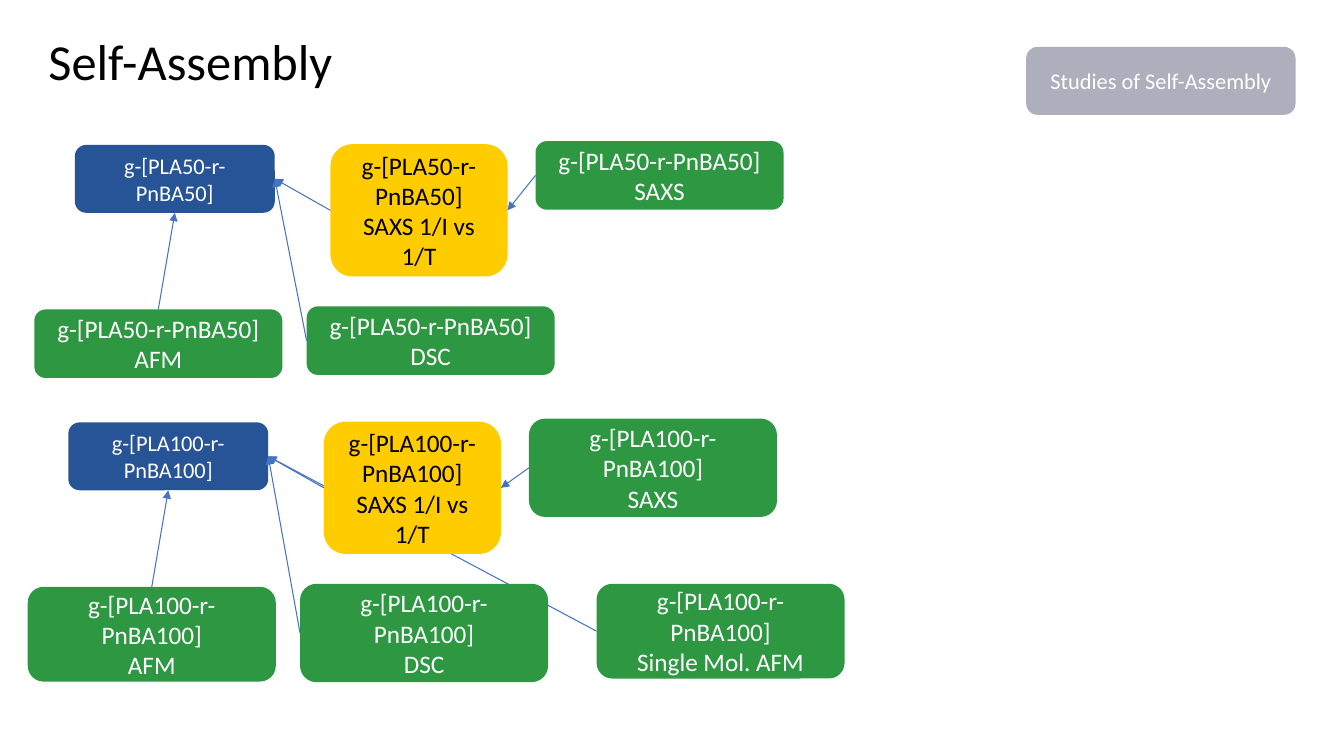
"""Build the Self-Assembly slide: two sample groups with their linked studies."""
from lxml.etree import SubElement
from pptx import Presentation
from pptx.dml.color import RGBColor
from pptx.enum.shapes import MSO_CONNECTOR, MSO_SHAPE
from pptx.enum.text import MSO_ANCHOR, MSO_AUTO_SIZE, PP_ALIGN
from pptx.oxml.ns import qn
from pptx.util import Pt

TITLE = "Self-Assembly"
BADGE = ("Studies of Self-Assembly", (733, 33.5, 192.4, 48.5))

SPOTS = {
    "main": ("blue", 53.5, 103.5, 142.8),
    "fit": ("gold", 236, 103, 126.5),
    "SAXS": ("green", 382.5, 100.8, 177.2),
    "DSC": ("green", 219, 218.8, 177.2),
    "AFM": ("green", 24.5, 221, 177.2),
    "Single": ("green", 430.8, 218.8, 177.2),
}
STEP = (-4.7, 198.2)
GROUPS = [
    ("g-[PLA50-r-PnBA50]", [
        ("main", None, 48.5),
        ("fit", "SAXS 1/I vs 1/T", 94.5),
        ("SAXS", "SAXS", 49),
        ("DSC", "DSC", 49),
        ("AFM", "AFM", 49),
    ]),
    ("g-[PLA100-r-PnBA100]", [
        ("main", None, 48.5),
        ("fit", "SAXS 1/I vs 1/T", 94.5),
        ("SAXS", "SAXS", 70.3),
        ("DSC", "DSC", 70.3),
        ("AFM", "AFM", 67.7),
        ("Single", "Single Mol. AFM", 67.7),
    ]),
]

TOP, LEFT, BASE, RIGHT = range(4)
LINKS = [
    ("SAXS", LEFT, "fit", RIGHT),
    ("fit", LEFT, "main", RIGHT),
    ("DSC", LEFT, "main", RIGHT),
    ("AFM", TOP, "main", BASE),
    ("Single", LEFT, "main", RIGHT),
]
BEHIND = "Single"

THEME = {
    "font": "Calibri",
    "title": (36, "000000"),
    "line": ("4472C4", 0.75),
    "gray": ("ADAFBD", 16, "FFFFFF"),
    "blue": ("275497", 16, "FFFFFF"),
    "gold": ("FFCC00", 18, "000000"),
    "green": ("2D9742", 18, "FFFFFF"),
}


def style(para, size, color, align):
    para.alignment = align
    para.font.name = THEME["font"]
    para.font.size = Pt(size)
    para.font.color.rgb = RGBColor.from_string(color)


def add_title(slide):
    title = slide.shapes.title
    title.left, title.top, title.width, title.height = map(Pt, (27.4, 21, 828, 48))
    frame = title.text_frame
    frame.text = TITLE
    frame.auto_size = MSO_AUTO_SIZE.NONE
    frame.vertical_anchor = MSO_ANCHOR.BOTTOM
    para = frame.paragraphs[0]
    para.line_spacing = 0.9
    style(para, *THEME["title"], PP_ALIGN.LEFT)


def add_box(slide, kind, rect, lines):
    fill, size, color = THEME[kind]
    box = slide.shapes.add_shape(MSO_SHAPE.ROUNDED_RECTANGLE, *map(Pt, rect))
    box.shadow.inherit = False
    box.fill.solid()
    box.fill.fore_color.rgb = RGBColor.from_string(fill)
    box.line.fill.background()
    frame = box.text_frame
    frame.word_wrap = True
    frame.vertical_anchor = MSO_ANCHOR.MIDDLE
    frame.text = "\n".join(lines)
    for para in frame.paragraphs:
        style(para, size, color, PP_ALIGN.CENTER)
    return box


def add_link(slide, start, out, end, into):
    color, width = THEME["line"]
    link = slide.shapes.add_connector(MSO_CONNECTOR.STRAIGHT, 0, 0, 0, 0)
    link.begin_connect(start, out)
    link.end_connect(end, into)
    link.line.color.rgb = RGBColor.from_string(color)
    link.line.width = Pt(width)
    SubElement(link.line._get_or_add_ln(), qn("a:tailEnd"), type="triangle")
    SubElement(link._element.spPr, qn("a:effectLst"))
    return link


def add_group(slide, row, name, items):
    boxes = {}
    for key, note, height in items:
        kind, left, top, width = SPOTS[key]
        rect = (left + row * STEP[0], top + row * STEP[1], width, height)
        boxes[key] = add_box(slide, kind, rect, [name, note] if note else [name])
    for start, out, end, into in LINKS:
        if start in boxes:
            link = add_link(slide, boxes[start], out, boxes[end], into)
            if start == BEHIND:
                slide.shapes._spTree.insert(2, link._element)


def main():
    deck = Presentation()
    deck.slide_width, deck.slide_height = Pt(960), Pt(540)
    slide = deck.slides.add_slide(deck.slide_layouts[5])
    add_title(slide)
    text, rect = BADGE
    add_box(slide, "gray", rect, [text])
    for row, (name, items) in enumerate(GROUPS):
        add_group(slide, row, name, items)
    deck.save("out.pptx")


if __name__ == "__main__":
    main()
